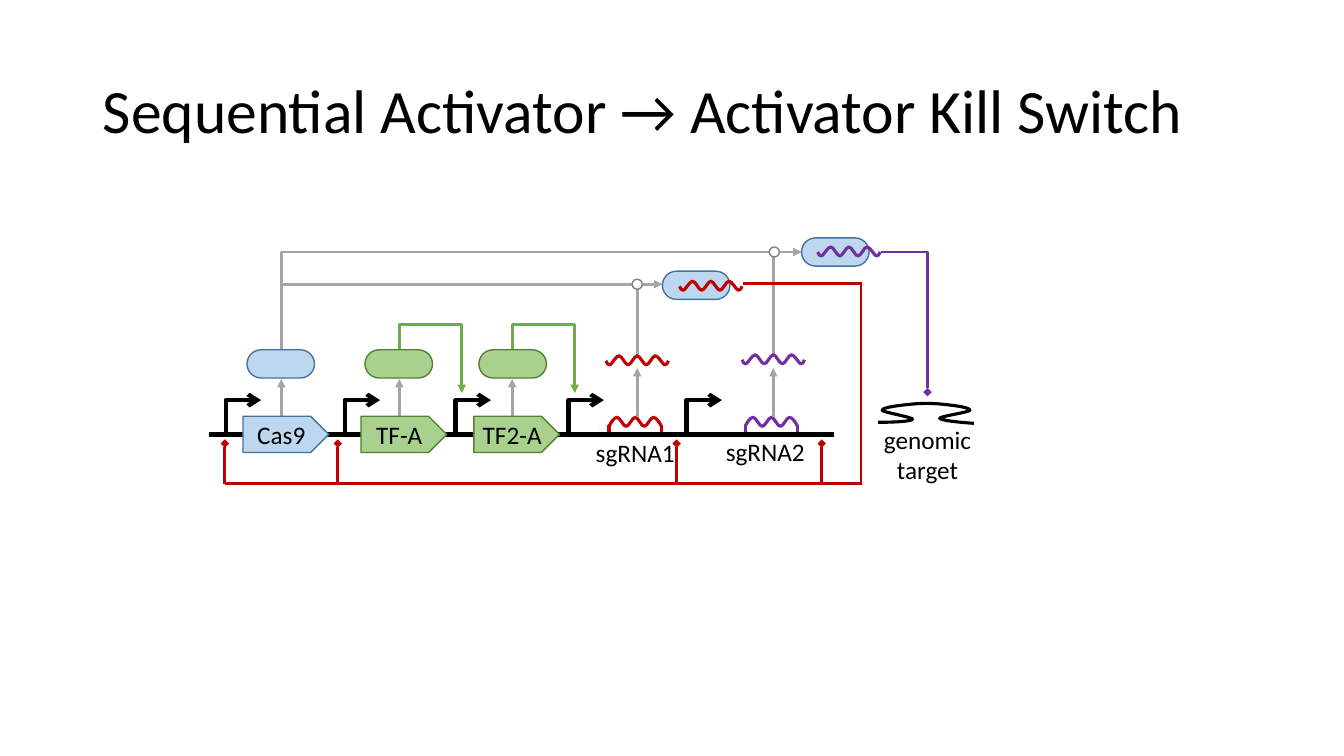
"""Build the slide on a sequential activator kill switch circuit."""
from lxml import etree
from pptx import Presentation
from pptx.dml.color import RGBColor
from pptx.enum.shapes import MSO_CONNECTOR, MSO_SHAPE
from pptx.enum.text import MSO_ANCHOR, MSO_AUTO_SIZE, PP_ALIGN
from pptx.oxml.ns import qn
from pptx.util import Inches, Pt

STRAIGHT, ELBOW = MSO_CONNECTOR.STRAIGHT, MSO_CONNECTOR.ELBOW
PILL, GENE, NODE = MSO_SHAPE.ROUNDED_RECTANGLE, MSO_SHAPE.PENTAGON, MSO_SHAPE.OVAL
LEFT, CENTER = PP_ALIGN.LEFT, PP_ALIGN.CENTER
COLORS = {
    "black": "000000", "white": "FFFFFF", "gray": "A5A5A5", "node": "808080",
    "red": "C00000", "purple": "7030A0", "arrow_green": "70AD47",
    "blue": "BDD7EE", "blue_edge": "43739E", "green": "A9D18E", "green_edge": "538035",
}
PALETTE = {name: RGBColor.from_string(value) for name, value in COLORS.items()}


def connect(start, end, color, width=2, head=None, tail=None, preset=None, bends=(), turn=0):
    """Draw a straight or bent connector with optional line ends."""
    kind = ELBOW if preset else STRAIGHT
    connector = slide.shapes.add_connector(kind, *map(Inches, start + end))
    connector.line.color.rgb = PALETTE[color]
    connector.line.width = Pt(width)
    properties = connector._element.spPr
    if preset:
        geometry = properties.find(qn("a:prstGeom"))
        geometry.set("prst", preset)
        for number, bend in enumerate(bends, 1):
            etree.SubElement(geometry.find(qn("a:avLst")), qn("a:gd"),
                             name=f"adj{number}", fmla=f"val {round(bend * 100000)}")
        if turn:
            properties.find(qn("a:xfrm")).set("rot", str(turn * 60000))
    for tag, ending in (("a:headEnd", head), ("a:tailEnd", tail)):
        if ending:
            etree.SubElement(properties.find(qn("a:ln")), qn(tag), type=ending)
    etree.SubElement(properties, qn("a:effectLst"))


def draw_curve(left, top, points, color):
    """Draw an open chain of cubic curves through the given points."""
    placed = [(Inches(left + x), Inches(top + y)) for x, y in points]
    builder = slide.shapes.build_freeform(*placed[0])
    builder.add_line_segments(placed[1:], close=False)
    curve = builder.convert_to_shape()
    curve.shadow.inherit = False
    curve.fill.background()
    curve.line.color.rgb = PALETTE[color]
    curve.line.width = Pt(2.25)
    segments = list(curve._element.iter(qn("a:lnTo")))
    for first in range(0, len(segments), 3):
        bezier = etree.SubElement(segments[first].getparent(), qn("a:cubicBezTo"))
        for segment in segments[first:first + 3]:
            bezier.append(segment[0])
            segment.getparent().remove(segment)


prs = Presentation()
prs.slide_width, prs.slide_height = Inches(13.33), Inches(7.5)
slide = prs.slides.add_slide(prs.slide_layouts[5])

title = slide.shapes.title
title.left, title.top, title.width, title.height = map(Inches, (0.92, 0.4, 11.5, 1.45))
title.text_frame.text = "Sequential Activator → Activator Kill Switch"
title.text_frame.auto_size = MSO_AUTO_SIZE.NONE
title.text_frame.vertical_anchor = MSO_ANCHOR.MIDDLE
heading = title.text_frame.paragraphs[0]
heading.alignment = LEFT
heading.line_spacing = 0.9
heading.font.name, heading.font.size = "Calibri", Pt(44)
heading.font.color.rgb = PALETTE["black"]

crests = []
for step in range(1, 5):
    before, after = (0, 0.09) if step % 2 else (0.09, 0)
    x = 0.09 * step
    crests += [(x - 0.06, before), (x - 0.03, after), (x, after)]
coil = ([(0, 0.09), (0.02, 0.05), (0.05, 0), (0.08, 0)]
        + [(0.08 + x, y) for x, y in crests]
        + [(0.47, 0), (0.5, 0.05), (0.52, 0.09)])
strand = ([(0, 0.05), (0.01, 0.07), (0.02, 0.1), (0.04, 0.09),
           (0.06, 0.08), (0.1, 0), (0.13, 0)]
          + [(0.13 + x, y) for x, y in crests]
          + [(0.52, 0), (0.56, 0.08), (0.58, 0.09), (0.6, 0.1), (0.61, 0.07), (0.62, 0.05)])

for left, color in ((6.04, "red"), (7.39, "purple")):
    draw_curve(left, 4.14, coil, color)
    for x in (left, left + 0.52):
        connect((x, 4.22), (x, 4.33), color, 2.25)
    connect((left, 4.32), (left + 0.52, 4.32), color, 2.25)

connect((2.07, 4.31), (8.27, 4.31), "black", 3)
for x in (2.23, 3.41, 4.51, 5.63, 6.8):
    connect((x, 4.3), (x + 0.36, 3.97), "black", 3, tail="arrow",
            preset="bentConnector3", bends=(0.026,))

connect((7.63, 2.5), (2.79, 3.47), "gray", preset="bentConnector2")
connect((2.79, 2.82), (6.27, 2.82), "gray")
for x, level, complex_left in ((6.32, 2.82, 6.57), (7.67, 2.5, 7.95)):
    connect((x, 4.14), (x, 3.65), "gray", tail="triangle")
    connect((x, 3.53), (x, level + 0.05), "gray")
    connect((x, level), (complex_left, level), "gray", tail="triangle")

for x in (2.23, 3.35, 6.71, 8.15):
    connect((x, 4.4), (x, 4.8), "red", head="diamond")
connect((2.23, 4.8), (8.54, 4.8), "red")
connect((8.54, 2.8), (8.54, 4.81), "red")
connect((7.37, 2.81), (8.54, 2.81), "red")
connect((8.74, 2.5), (9.2, 3.89), "purple", tail="diamond", preset="bentConnector2")

genes = [("Cas9", 2.41, "blue"), ("TF-A", 3.58, "green"), ("TF2-A", 4.7, "green")]
for name, left, color in genes:
    center = left + 0.38
    connect((center, 4.16), (center, 3.76), "gray", tail="triangle")
    if color == "green":
        middle = center + 0.31
        connect((middle + 0.215, 3.375), (middle - 0.215, 3.995), "arrow_green",
                tail="triangle", preset="bentConnector4", bends=(-0.579, 0.999), turn=270)

parts = [(GENE, left, 4.13, 0.85, 0.36, color, color + "_edge", name)
         for name, left, color in genes]
parts += [(PILL, left, top, 0.67, 0.28, color, color + "_edge", "")
          for left, top, color in ((2.45, 3.47, "blue"), (3.62, 3.47, "green"),
                                   (4.75, 3.47, "green"), (6.57, 2.69, "blue"),
                                   (7.95, 2.36, "blue"))]
parts += [(NODE, left, top, 0.1, 0.1, "white", "node", "")
          for left, top in ((6.27, 2.77), (7.63, 2.45))]
for preset, left, top, width, height, fill, edge, name in parts:
    part = slide.shapes.add_shape(preset, *map(Inches, (left, top, width, height)))
    part.shadow.inherit = False
    part.fill.solid()
    part.fill.fore_color.rgb = PALETTE[fill]
    part.line.color.rgb = PALETTE[edge]
    part.line.width = Pt(1)
    if preset == PILL:
        part.adjustments[0] = 0.5
    if name:
        part.text_frame.text = name
        part.text_frame.word_wrap = False
        part.text_frame.vertical_anchor = MSO_ANCHOR.MIDDLE
        label = part.text_frame.paragraphs[0]
        label.alignment = CENTER
        label.font.name, label.font.size = "Calibri", Pt(18)
        label.font.color.rgb = PALETTE["black"]

for left, top, color in ((6.01, 3.53, "red"), (6.74, 2.79, "red"),
                         (7.36, 3.52, "purple"), (8.11, 2.45, "purple")):
    draw_curve(left, top, strand, color)

target = [(0, 0.19), (0.17, 0.19), (0.33, 0.18), (0.34, 0.16),
          (0.35, 0.14), (0.04, 0.09), (0.04, 0.07),
          (0.04, 0.04), (0.23, 0.02), (0.33, 0.01),
          (0.42, 0), (0.53, 0), (0.63, 0.01),
          (0.73, 0.02), (0.91, 0.04), (0.91, 0.07),
          (0.91, 0.09), (0.61, 0.13), (0.61, 0.15),
          (0.62, 0.17), (0.79, 0.19), (0.95, 0.2)]
draw_curve(8.71, 4, target, "black")

for lines, left, top, width, height, alignment in (
        (["sgRNA1"], 5.81, 4.29, 0.99, 0.4, LEFT),
        (["sgRNA2"], 7.1, 4.28, 0.99, 0.4, LEFT),
        (["genomic", "target"], 8.66, 4.16, 1.08, 0.71, CENTER)):
    caption = slide.shapes.add_textbox(*map(Inches, (left, top, width, height))).text_frame
    caption.text = "\n".join(lines)
    caption.word_wrap = False
    caption.auto_size = MSO_AUTO_SIZE.SHAPE_TO_FIT_TEXT
    for paragraph in caption.paragraphs:
        paragraph.alignment = alignment
        paragraph.font.name, paragraph.font.size = "Calibri", Pt(18)
        paragraph.font.color.rgb = PALETTE["black"]

prs.save("out.pptx")
